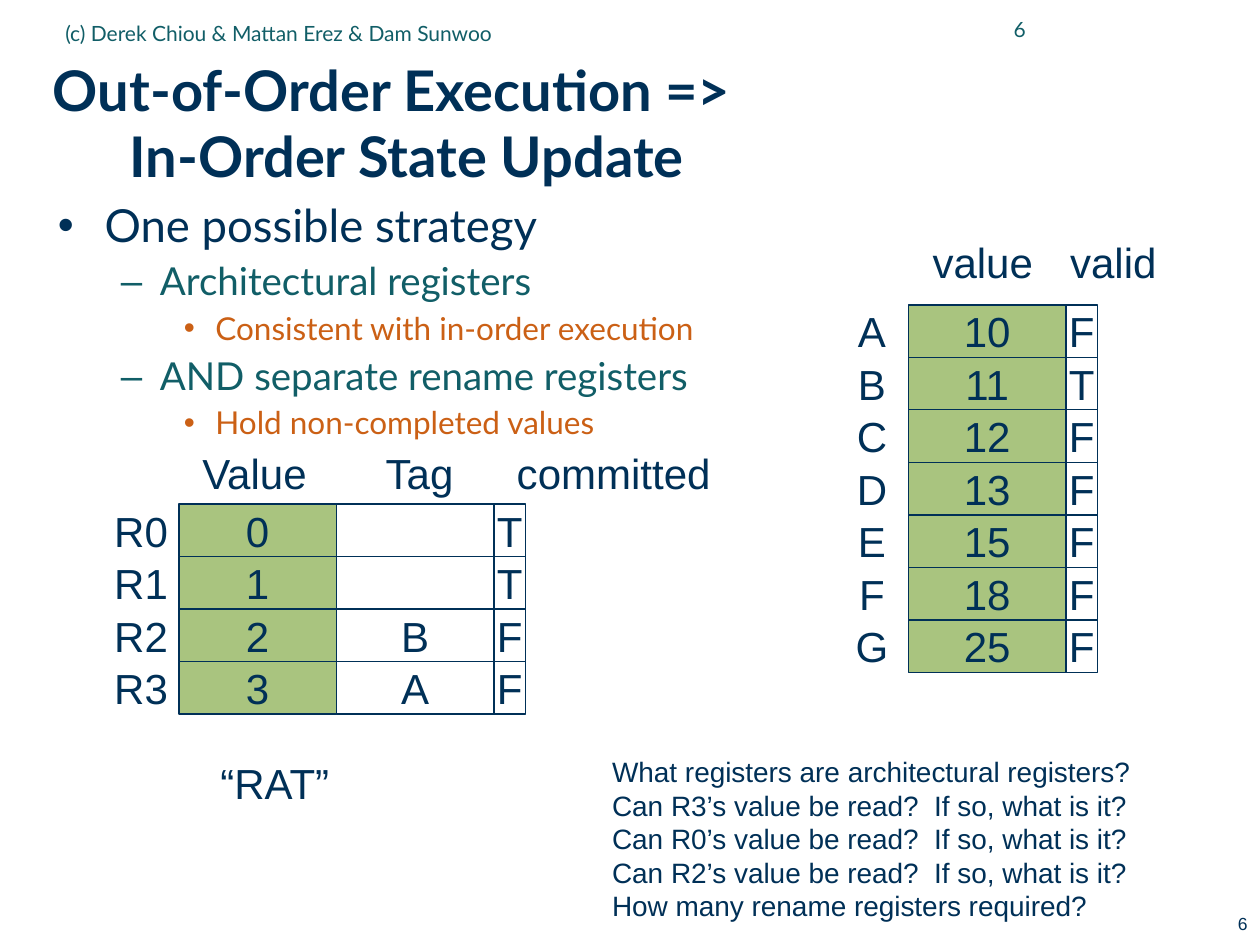
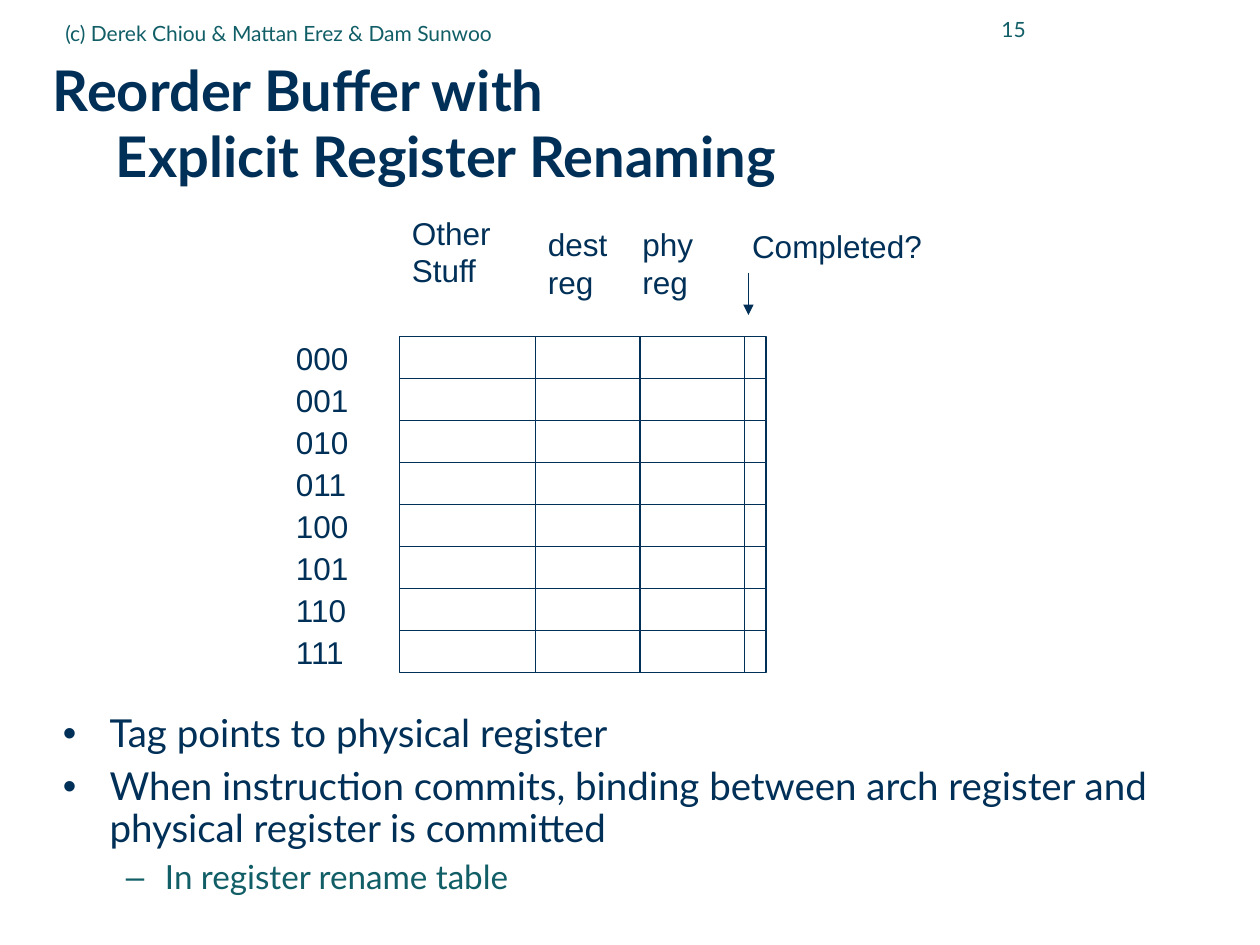
from dataclasses import dataclass
from typing import Optional

from lxml import etree
from pptx import Presentation
from pptx.dml.color import RGBColor
from pptx.enum.shapes import MSO_CONNECTOR, MSO_SHAPE
from pptx.enum.text import MSO_ANCHOR, MSO_AUTO_SIZE, PP_ALIGN
from pptx.oxml.ns import qn
from pptx.util import Inches, Pt

RECT = MSO_SHAPE.RECTANGLE
STRAIGHT = MSO_CONNECTOR.STRAIGHT
TOP, MIDDLE = MSO_ANCHOR.TOP, MSO_ANCHOR.MIDDLE
FIXED, GROW = MSO_AUTO_SIZE.NONE, MSO_AUTO_SIZE.SHAPE_TO_FIT_TEXT
LEFT, CENTER, RIGHT = PP_ALIGN.LEFT, PP_ALIGN.CENTER, PP_ALIGN.RIGHT

COLORS = {"navy": "003057", "teal": "115E67", "rust": "CB6015", "green": "A9C47F"}
TITLE_TAB = 0.5
LINE_WIDTH = Pt(0.75)


@dataclass(frozen=True)
class Style:
    size: float
    face: str = "Arial"
    color: str = "navy"
    bold: bool = False
    align: PP_ALIGN = LEFT


@dataclass(frozen=True)
class Level:
    mark: str
    color: str
    margin: float
    hang: float
    before: float


@dataclass(frozen=True)
class Item:
    text: str
    size: float
    level: int = 0


@dataclass(frozen=True)
class Label:
    text: str
    box: tuple[float, float, float, float]
    style: Style
    grow: bool = True


@dataclass(frozen=True)
class Column:
    width: float
    cells: list[str]
    fill: Optional[str] = None


@dataclass(frozen=True)
class Grid:
    left: float
    top: float
    height: float
    columns: list[Column]
    names: list[str]
    name_left: float
    name_width: float
    name_style: Style


LEVELS = [
    Level("•", "navy", 0.37, 0.37, 6.5),
    Level("–", "teal", 0.81, 0.31, 6),
    Level("•", "rust", 1.25, 0.25, 5),
]
TITLE = Style(32, "Lato", bold=True)
CREDIT = Style(12, "Lato", "teal")
NUMBER = Style(12, "Lato", "teal", align=RIGHT)
CORNER = Style(10, align=RIGHT)
CELL = Style(24, align=CENTER)
NOTE = Style(24)
ASK = Style(16)
SMALL = Style(18)


def rgb(name: str) -> RGBColor:
    return RGBColor.from_string(COLORS[name])


def dress(para, style: Style) -> None:
    """Apply a text style to one paragraph."""
    para.alignment = style.align
    form = {"name": style.face, "size": Pt(style.size), "bold": style.bold}
    for run in para.runs:
        for key, value in form.items():
            setattr(run.font, key, value)
        run.font.color.rgb = rgb(style.color)


def fill_text(frame, text: str, style: Style, **form) -> None:
    """Write text into a frame; a vertical tab breaks a line, a newline a paragraph."""
    base = {"word_wrap": False, "auto_size": FIXED, "vertical_anchor": MIDDLE}
    for key, value in (base | form).items():
        setattr(frame, key, value)
    for pos, line in enumerate(text.split("\n")):
        para = frame.add_paragraph() if pos else frame.paragraphs[0]
        para.text = line
        dress(para, style)


def add_text(slide, text: str, box, style: Style, **form):
    frame = slide.shapes.add_textbox(*map(Inches, box)).text_frame
    fill_text(frame, text, style, **form)
    return frame


def no_inset(frame) -> None:
    for side in ("left", "top", "right", "bottom"):
        setattr(frame, f"margin_{side}", 0)


def add_title(slide, text: str) -> None:
    frame = add_text(slide, text, (0.42, 0.5, 9.41, 0.98), TITLE, word_wrap=True)
    no_inset(frame)
    para = frame.paragraphs[0]
    tabs = etree.SubElement(para._p.get_or_add_pPr(), qn("a:tabLst"))
    etree.SubElement(tabs, qn("a:tab"), pos=str(Inches(TITLE_TAB)), algn="l")
    para.line_spacing = 0.99


def add_bullets(slide, box, items: list[Item]) -> None:
    text = "\n".join(item.text for item in items)
    frame = add_text(slide, text, box, NOTE, word_wrap=True, vertical_anchor=TOP)
    no_inset(frame)
    for pos, (para, item) in enumerate(zip(frame.paragraphs, items)):
        level = LEVELS[item.level]
        para.level = item.level
        props = para._p.get_or_add_pPr()
        props.set("marL", str(Inches(level.margin)))
        props.set("indent", str(-Inches(level.hang)))
        tint = etree.SubElement(props, qn("a:buClr"))
        etree.SubElement(tint, qn("a:srgbClr"), val=COLORS[level.color])
        etree.SubElement(props, qn("a:buFont"), typeface="Arial")
        etree.SubElement(props, qn("a:buChar"), char=level.mark)
        para.line_spacing = 0.9
        para.space_before = Pt(level.before if pos else 0)
        dress(para, Style(item.size, "Lato", level.color))


def add_cell(slide, text: str, box, fill: Optional[str]) -> None:
    cell = slide.shapes.add_shape(RECT, *map(Inches, box))
    cell.shadow.inherit = False
    cell.line.color.rgb = rgb("navy")
    cell.line.width = LINE_WIDTH
    if fill:
        cell.fill.solid()
        cell.fill.fore_color.rgb = rgb(fill)
    else:
        cell.fill.background()
    if text:
        fill_text(cell.text_frame, text, CELL)


def add_grid(slide, grid: Grid) -> None:
    """Draw columns of boxes with a name to the left of each row."""
    tops = [grid.top + row * grid.height for row in range(len(grid.names))]
    for top, name in zip(tops, grid.names):
        box = (grid.name_left, top, grid.name_width, grid.height)
        add_text(slide, name, box, grid.name_style)
    left = grid.left
    for col in grid.columns:
        for top, text in zip(tops, col.cells):
            add_cell(slide, text, (left, top, col.width, grid.height), col.fill)
        left += col.width


def add_labels(slide, labels: list[Label]) -> None:
    for label in labels:
        form = {"auto_size": GROW, "vertical_anchor": TOP} if label.grow else {}
        add_text(slide, label.text, label.box, label.style, **form)


def add_arrow(slide, start, end) -> None:
    arrow = slide.shapes.add_connector(STRAIGHT, *map(Inches, (*start, *end)))
    arrow.line.color.rgb = rgb("navy")
    arrow.line.width = LINE_WIDTH
    line = arrow.line._get_or_add_ln()
    etree.SubElement(line, qn("a:tailEnd"), type="triangle")
    etree.SubElement(arrow._element.spPr, qn("a:effectLst"))


def add_slide(deck, title: str, number: int):
    """Start a slide with the title, number and credit that all slides share."""
    slide = deck.slides.add_slide(deck.slide_layouts[6])
    add_title(slide, title)
    add_text(slide, str(number), (7.33, -0.02, 0.91, 0.5), NUMBER, word_wrap=True)
    add_text(slide, "(c) Derek Chiou & Mattan Erez & Dam Sunwoo",
             (0.42, 0.03, 5.67, 0.46), CREDIT, word_wrap=True)
    return slide


def draw_update(deck) -> None:
    slide = add_slide(deck, "Out-of-Order Execution =>\v\t In-Order State Update", 6)
    add_bullets(slide, (0.46, 1.61, 9.33, 5.91), [
        Item("One possible strategy", 26),
        Item("Architectural registers", 22, 1),
        Item("Consistent with in-order execution", 18, 2),
        Item("AND separate rename registers", 22, 1),
        Item("Hold non-completed values", 18, 2),
    ])
    add_text(slide, "6", (7.67, 7.2, 2.33, 0.27), CORNER,
             word_wrap=True, vertical_anchor=TOP)
    row = 5 / 12
    add_grid(slide, Grid(1.42, 4, row, [
        Column(1.25, list("0123"), "green"),
        Column(1.25, ["", "", "B", "A"]),
        Column(0.25, list("TTFF")),
    ], [f"R{num}" for num in range(4)], 0.83, 0.58, CELL))
    add_grid(slide, Grid(7.21, 2.42, row, [
        Column(1.25, ["10", "11", "12", "13", "15", "18", "25"], "green"),
        Column(0.25, list("FTFFFFF")),
    ], list("ABCDEFG"), 6.63, 0.58, CELL))
    asks = "\n".join([
        "What registers are architectural registers?",
        *(f"Can {reg}’s value be read?  If so, what is it?" for reg in ("R3", "R0", "R2")),
        "How many rename registers required?",
    ])
    add_labels(slide, [
        Label("Value", (1.5, 3.5, 1.04, 0.5), CELL),
        Label("Tag", (2.96, 3.5, 0.74, 0.5), CELL),
        Label("committed", (4, 3.5, 1.74, 0.5), CELL),
        Label("value", (7.3, 1.83, 1, 0.5), CELL),
        Label("valid", (8.39, 1.83, 0.89, 0.5), CELL),
        Label("“RAT”", (1.65, 5.96, 1.09, 0.5), NOTE),
        Label(asks, (4.76, 5.94, 4.33, 1.44), ASK),
    ])


def draw_buffer(deck) -> None:
    slide = add_slide(deck, "Reorder Buffer with \v\tExplicit Register Renaming", 15)
    add_bullets(slide, (0.5, 5.67, 9.33, 1.82), [
        Item("Tag points to physical register", 22),
        Item("When instruction commits, binding between arch register and "
             "physical register is committed", 22),
        Item("In register rename table", 19, 1),
    ])
    names = [f"{num:03b}" for num in range(8)]
    blank = [""] * len(names)
    widths = (1.08, 0.83, 0.83, 0.17)
    add_grid(slide, Grid(3.17, 2.67, 1 / 3, [Column(width, blank) for width in widths],
                         names, 2.25, 0.83, SMALL))
    add_labels(slide, [
        Label("Other\nStuff", (3.17, 1.83, 1.08, 0.33), SMALL, False),
        Label("dest\nreg", (4.25, 1.92, 0.83, 0.33), SMALL, False),
        Label("phy\nreg", (5, 1.92, 0.83, 0.33), SMALL, False),
        Label("Completed?", (5.87, 1.75, 1.55, 0.4), SMALL),
    ])
    add_arrow(slide, (5.94, 2.17), (5.94, 2.5))


def main() -> None:
    deck = Presentation()
    deck.slide_width, deck.slide_height = Inches(10), Inches(7.5)
    draw_update(deck)
    draw_buffer(deck)
    deck.save("out.pptx")


if __name__ == "__main__":
    main()
